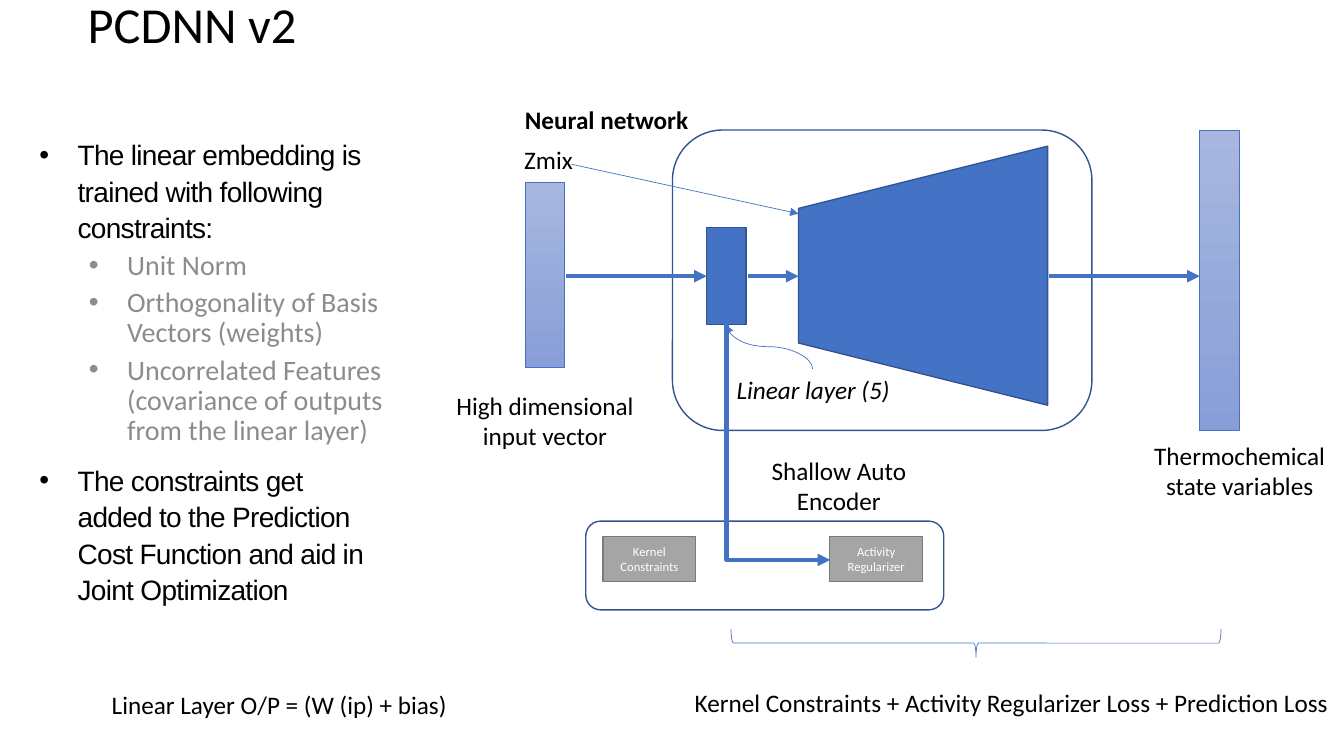
from lxml import etree
from pptx import Presentation
from pptx import util as u
from pptx.dml import color
from pptx.enum import shapes, text
from pptx.oxml import ns

PX = 9144
BLUE, EDGE, GREY, BLACK = "4472C4", "325491", "A5A5A5", "000000"
KIND = shapes.MSO_SHAPE


def rgb(value):
    return color.RGBColor.from_string(value)


def add_run(paragraph, words, size, ink, font="Calibri"):
    run = paragraph.add_run()
    run.text = words
    run.font.size = u.Pt(size)
    run.font.name = font
    run.font.color.rgb = rgb(ink)
    return run


presentation = Presentation()
presentation.slide_width = 1333 * PX
presentation.slide_height = 750 * PX
slide = presentation.slides.add_slide(presentation.slide_layouts[1])

title = slide.shapes.title
title.left, title.top, title.width, title.height = [n * PX for n in (77, -2, 1150, 60)]
title.text_frame.auto_size = text.MSO_AUTO_SIZE.NONE
title.text_frame.vertical_anchor = text.MSO_ANCHOR.BOTTOM
paragraph = title.text_frame.paragraphs[0]
paragraph.alignment = text.PP_ALIGN.LEFT
paragraph.line_spacing = 0.8
add_run(paragraph, "PCDNN v2", 36, BLACK)

body = slide.placeholders[1]
body.left, body.top, body.width, body.height = [n * PX for n in (29, 129, 361, 324)]
body.text_frame.auto_size = text.MSO_AUTO_SIZE.NONE
bullets = [
    (0, "The linear embedding is trained with following constraints:"),
    (1, "Unit Norm"),
    (1, "Orthogonality of Basis Vectors (weights)"),
    (1, "Uncorrelated Features (covariance of outputs from the linear layer)"),
    (0, "The constraints get added to the Prediction Cost Function and aid in Joint Optimization"),
]
for index, (level, words) in enumerate(bullets):
    paragraph = body.text_frame.add_paragraph() if index else body.text_frame.paragraphs[0]
    paragraph.level = level
    paragraph.alignment = text.PP_ALIGN.LEFT
    paragraph.line_spacing = 0.9 if level else u.Pt(26)
    paragraph.space_before = u.Pt(5 if level else 10)
    paragraph.space_after = u.Pt(0)
    if level:
        add_run(paragraph, words, 20, "8C8C8C")
    else:
        run = add_run(paragraph, words, 20, BLACK, "Arial")
        run.font._element.set("spc", "-50")
    properties = paragraph._p.get_or_add_pPr()
    properties.set("marL", str((87 if level else 38) * PX))
    properties.set("indent", str(-38 * PX))
    etree.SubElement(properties, ns.qn("a:buFont")).set("typeface", "Arial")
    etree.SubElement(properties, ns.qn("a:buChar")).set("char", "•")

blocks = [
    (KIND.RECTANGLE, 521, 181, 39, 184, 0, "gradient", BLUE, 0.5, ""),
    (KIND.RECTANGLE, 701, 226, 39, 96, 0, BLUE, EDGE, 1, ""),
    (KIND.RECTANGLE, 1190, 129, 39, 298, 0, "gradient", BLUE, 0.5, ""),
    (KIND.TRAPEZOID, 787, 150, 257, 247, 270, BLUE, EDGE, 1, ""),
    (KIND.RECTANGLE, 598, 532, 92, 45, 0, GREY, "7A7A7A", 1, "Kernel Constraints"),
    (KIND.RECTANGLE, 823, 532, 92, 45, 0, GREY, "7A7A7A", 1, "Activity Regularizer"),
    (KIND.ROUNDED_RECTANGLE, 667, 129, 416, 298, 0, None, EDGE, 1, ""),
    (KIND.ROUNDED_RECTANGLE, 581, 517, 355, 88, 0, None, EDGE, 1, ""),
    (KIND.RIGHT_BRACE, 954, 395, 28, 486, 90, None, BLUE, 0.5, ""),
]
for kind, left, top, width, height, turn, fill, edge, weight, words in blocks:
    shape = slide.shapes.add_shape(kind, left * PX, top * PX, width * PX, height * PX)
    shape.shadow.inherit = False
    shape.rotation = turn
    shape.line.color.rgb = rgb(edge)
    shape.line.width = u.Pt(weight)
    if fill == "gradient":
        shape.fill.gradient()
        shape.fill.gradient_angle = 270
        for stop, shade in zip(shape.fill.gradient_stops, ("A8B7DF", "889ED7")):
            stop.color.rgb = rgb(shade)
    elif fill:
        shape.fill.solid()
        shape.fill.fore_color.rgb = rgb(fill)
    else:
        shape.fill.background()
    if words:
        shape.text_frame.vertical_anchor = text.MSO_ANCHOR.MIDDLE
        paragraph = shape.text_frame.paragraphs[0]
        paragraph.alignment = text.PP_ALIGN.CENTER
        add_run(paragraph, words, 9, "FFFFFF")

arrows = [
    ("line", 1040, 274, 1190, 274, 3),
    ("line", 561, 274, 701, 274, 3),
    ("line", 742, 274, 792, 274, 3),
    ("line", 567, 163, 792, 212, 0.5),
    ("bentConnector2", 889, 387, 655, 490, 3),
    ("curvedConnector3", 741, 387, 785, 301, 0.5),
]
for preset, x1, y1, x2, y2, weight in arrows:
    arrow = slide.shapes.add_connector(
        shapes.MSO_CONNECTOR.STRAIGHT, x1 * PX, y1 * PX, x2 * PX, y2 * PX
    )
    arrow.line.color.rgb = rgb(BLUE)
    arrow.line.width = u.Pt(weight)
    properties = arrow._element.spPr
    properties.find(ns.qn("a:prstGeom")).set("prst", preset)
    if preset != "line":
        properties.find(ns.qn("a:xfrm")).set("rot", str(270 * 60000))
    etree.SubElement(properties.find(ns.qn("a:ln")), ns.qn("a:tailEnd")).set("type", "triangle")
    etree.SubElement(properties, ns.qn("a:effectLst"))

labels = [
    (420, 382, 241, 71, "High dimensional input vector", ""),
    (1109, 432, 241, 71, "Thermochemical state variables", ""),
    (484, 99, 241, 40, "Neural network ", "bold"),
    (686, 366, 241, 40, "Linear layer (5)", "italic"),
    (678, 677, 656, 40, "Kernel Constraints + Activity Regularizer Loss + Prediction Loss ", ""),
    (-51, 679, 656, 40, "Linear Layer O/P = (W (ip) + bias)", ""),
    (501, 138, 86, 40, "Zmix", ""),
    (720, 447, 224, 71, "Shallow Auto Encoder", ""),
]
for left, top, width, height, words, style in labels:
    label = slide.shapes.add_textbox(left * PX, top * PX, width * PX, height * PX)
    label.text_frame.word_wrap = True
    paragraph = label.text_frame.paragraphs[0]
    paragraph.alignment = text.PP_ALIGN.CENTER
    run = add_run(paragraph, words, 18, BLACK)
    run.font.bold = style == "bold"
    run.font.italic = style == "italic"

presentation.save("out.pptx")
